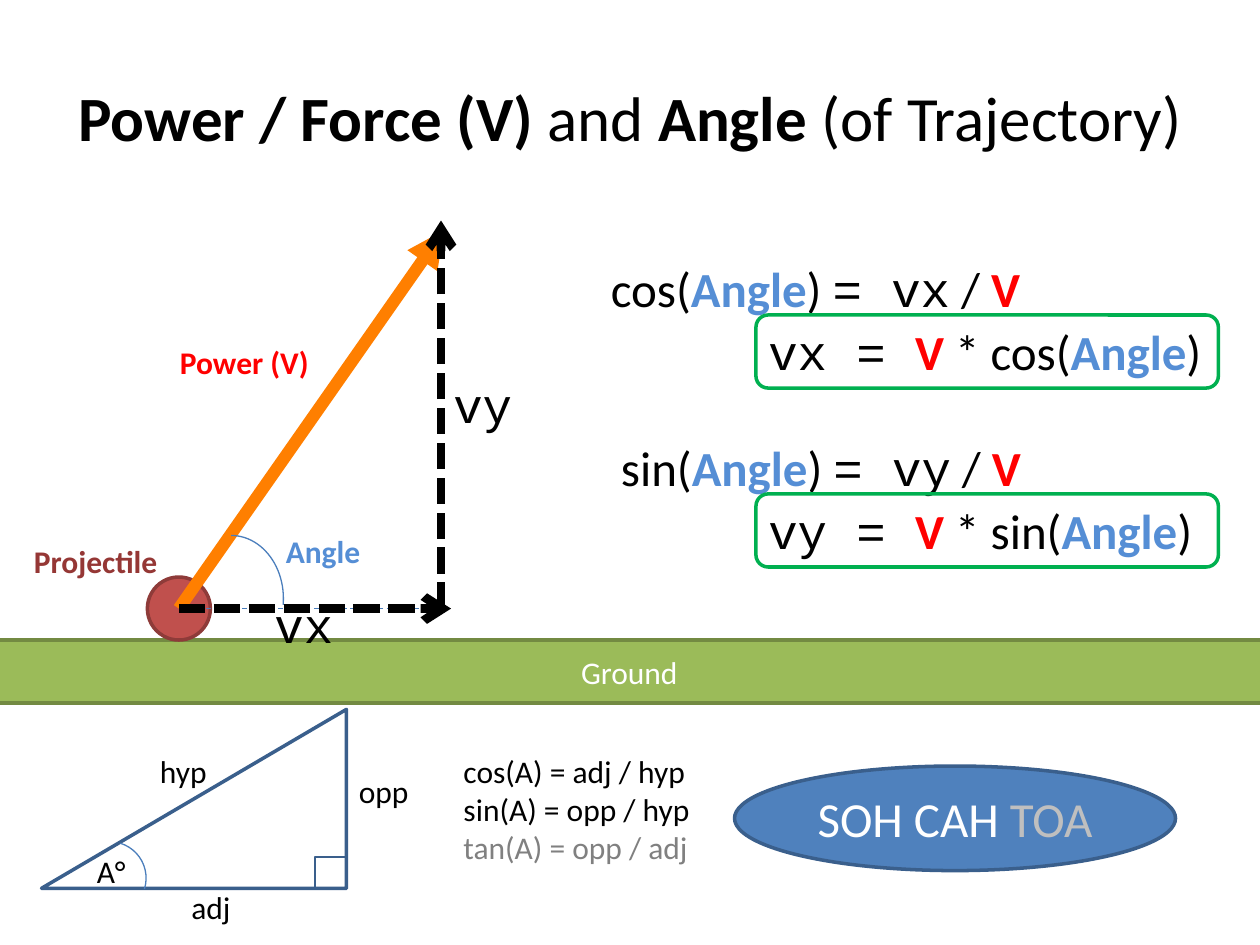
from lxml import etree
from pptx import Presentation
from pptx.dml.color import RGBColor
from pptx.enum.dml import MSO_LINE
from pptx.enum.shapes import MSO_CONNECTOR, MSO_SHAPE
from pptx.enum.text import MSO_ANCHOR, MSO_AUTO_SIZE, PP_ALIGN
from pptx.oxml.ns import qn
from pptx.util import Inches, Pt

ARC, OVAL, RECT = MSO_SHAPE.ARC, MSO_SHAPE.OVAL, MSO_SHAPE.RECTANGLE
ROUNDED, RIGHT_TRIANGLE = MSO_SHAPE.ROUNDED_RECTANGLE, MSO_SHAPE.RIGHT_TRIANGLE
STRAIGHT = MSO_CONNECTOR.STRAIGHT
DASH, SYS_DASH = MSO_LINE.DASH, MSO_LINE.SQUARE_DOT
LEFT, CENTER = PP_ALIGN.LEFT, PP_ALIGN.CENTER
TOP, MIDDLE = MSO_ANCHOR.TOP, MSO_ANCHOR.MIDDLE
FIT_TEXT = MSO_AUTO_SIZE.SHAPE_TO_FIT_TEXT

BLACK = RGBColor(0x00, 0x00, 0x00)
WHITE = RGBColor(0xFF, 0xFF, 0xFF)
GRAY = RGBColor(0x80, 0x80, 0x80)
SILVER = RGBColor(0xBF, 0xBF, 0xBF)
RED = RGBColor(0xFF, 0x00, 0x00)
ORANGE = RGBColor(0xFF, 0x7F, 0x00)
GREEN = RGBColor(0x00, 0xB0, 0x50)
BALL, BALL_EDGE = RGBColor(0xC0, 0x50, 0x4D), RGBColor(0x8E, 0x3B, 0x39)
MAROON = RGBColor(0x95, 0x37, 0x35)
GRASS, GRASS_EDGE = RGBColor(0x9B, 0xBB, 0x59), RGBColor(0x73, 0x8A, 0x42)
BLUE, BLUE_EDGE = RGBColor(0x4F, 0x81, 0xBD), RGBColor(0x3A, 0x5F, 0x8C)
THIN_BLUE = RGBColor(0x4B, 0x7E, 0xBC)
ANGLE_BLUE = RGBColor(0x55, 0x8E, 0xD5)

SANS, MONO = "Calibri", "Courier New"
ANGLE = ("Angle", {"color": ANGLE_BLUE, "bold": True})
POWER = ("V", {"color": RED, "bold": True})


def write(frame, lines, align=LEFT, anchor=TOP, wrap=True, **base):
    """Fill a text frame; a line is a string or a list of strings and (text, format) runs."""
    frame.word_wrap = wrap
    frame.vertical_anchor = anchor
    for index, line in enumerate(lines):
        paragraph = frame.paragraphs[0] if index == 0 else frame.add_paragraph()
        paragraph.alignment = align
        for part in [line] if isinstance(line, (str, tuple)) else line:
            words, extra = (part, {}) if isinstance(part, str) else part
            style = {"size": 18, "font": SANS, "color": BLACK, "bold": False, **base, **extra}
            run = paragraph.add_run()
            run.text = words
            run.font.size = Pt(style["size"])
            run.font.name = style["font"]
            run.font.bold = style["bold"]
            run.font.color.rgb = style["color"]


def add_text(shapes, left, top, width, height, lines, fit=True, **style):
    """Add a text box holding the given lines."""
    box = shapes.add_textbox(Inches(left), Inches(top), Inches(width), Inches(height))
    write(box.text_frame, lines, **style)
    if fit:
        box.text_frame.auto_size = FIT_TEXT


def add_figure(shapes, kind, left, top, width, height, edge, weight=2.0, fill=None):
    """Add a preset shape with an outline and an optional fill."""
    figure = shapes.add_shape(kind, Inches(left), Inches(top), Inches(width), Inches(height))
    figure.shadow.inherit = False
    if fill is None:
        figure.fill.background()
    else:
        figure.fill.solid()
        figure.fill.fore_color.rgb = fill
    figure.line.color.rgb = edge
    figure.line.width = Pt(weight)
    return figure


def add_line(shapes, start, end, color, weight, dash=None, arrow=None):
    """Draw a straight line, with an arrowhead at its end if one is named."""
    line = shapes.add_connector(STRAIGHT, *(Inches(v) for v in (*start, *end)))
    line.line.color.rgb = color
    line.line.width = Pt(weight)
    if dash is not None:
        line.line.dash_style = dash
    if arrow:
        etree.SubElement(line.line._get_or_add_ln(), qn("a:tailEnd")).set("type", arrow)
    etree.SubElement(line._element.spPr, qn("a:effectLst"))


def draw_title(shapes, left, top, width, height):
    """Write the slide's heading."""
    bold = {"bold": True}
    add_text(shapes, left, top, width, height,
             [[("Power / Force (V)", bold), " and ", ("Angle", bold), " (of Trajectory)"]],
             fit=False, size=36, align=CENTER, anchor=MIDDLE)


def draw_ground(shapes, left, top, width, height):
    """Draw the strip of ground."""
    ground = add_figure(shapes, RECT, left, top, width, height, GRASS_EDGE, fill=GRASS)
    write(ground.text_frame, ["Ground"], color=WHITE, align=CENTER, anchor=MIDDLE)


def draw_trajectory(shapes, left, top):
    """Draw the projectile and its velocity vector with both components."""
    origin = (left + 1.25, top + 3.08)
    x, y = origin
    add_figure(shapes, OVAL, x - 0.25, y - 0.25, 0.5, 0.5, BALL_EDGE, fill=BALL)
    add_line(shapes, origin, (x + 2.1, y - 3), ORANGE, 7, arrow="triangle")
    add_line(shapes, origin, (x + 2.08, y), THIN_BLUE, 0.75, dash=DASH)
    arc = add_figure(shapes, ARC, x, y - 0.58, 0.83, 1, THIN_BLUE, 0.75)
    arc.adjustments[0], arc.adjustments[1] = 162, 4.225

    for name, dx, dy, width, color in (("Projectile", 0, 2.5, 1.19, MAROON),
                                       ("Power (V)", 1.16, 0.92, 1.23, RED),
                                       ("Angle", 2, 2.42, 0.8, ANGLE_BLUE)):
        add_text(shapes, left + dx, top + dy, width, 0.4, [name],
                 wrap=False, color=color, bold=True)

    corner = (x + 2.08, y)
    add_line(shapes, origin, (x + 2.16, y), BLACK, 5, SYS_DASH, "arrow")
    add_line(shapes, corner, (x + 2.08, y - 3.08), BLACK, 5, SYS_DASH, "arrow")
    for name, dx, dy, width in (("vx", 0.66, -0.16, 1.18), ("vy", 2.08, -1.91, 0.75)):
        add_text(shapes, x + dx, y + dy, width, 0.57, [name], size=28, font=MONO)


def draw_formula(shapes, left, top, ratio, component, indent):
    """Write one ratio and, in a frame below it, the component solved from it."""
    mono = {"font": MONO}
    add_text(shapes, left + indent, top, 4.58, 0.57,
             [[f"{ratio}(", ANGLE, ") ", (f"= {component}", mono), " / ", POWER]], size=28)
    add_text(shapes, left + 1.25, top + 0.5, 3.75, 0.57,
             [[(f"{component} = ", mono), POWER, f" * {ratio}(", ANGLE, ")"]], size=28)
    add_figure(shapes, ROUNDED, left + 1.25, top + 0.5, 3.67, 0.58, GREEN)


def draw_triangle(shapes, left, top, width, height):
    """Draw the labelled right triangle as one group."""
    parts = shapes.add_group_shape().shapes
    triangle = add_figure(parts, RIGHT_TRIANGLE, left, top, width, height, BLUE_EDGE)
    triangle._element.spPr.find(qn("a:xfrm")).set("flipH", "1")
    arc = add_figure(parts, ARC, left + 0.25, top + 1.05, 0.58, 0.58, THIN_BLUE, 0.75)
    arc.rotation = 17.3
    corner = 0.25
    add_figure(parts, RECT, left + width - corner, top + height - corner,
               corner, corner, BLUE_EDGE, 1)
    for name, dx, dy, label_width in (("A°", 0.34, 1.08, 0.43), ("opp", width, 0.45, 0.6),
                                      ("adj", 1.09, 1.37, 0.52), ("hyp", 0.84, 0.29, 0.58)):
        add_text(parts, left + dx, top + dy, label_width, 0.4, [name], wrap=False)


def draw_ratios(shapes, left, top):
    """List the three ratios next to their mnemonic."""
    add_text(shapes, left, top, 2.02, 1.01,
             ["cos(A) = adj / hyp", "sin(A) = opp / hyp",
              ("tan(A) = opp / adj", {"color": GRAY})], wrap=False)
    mnemonic = add_figure(shapes, OVAL, left + 2.25, top + 0.16, 3.5, 0.83, BLUE_EDGE, fill=BLUE)
    write(mnemonic.text_frame, [["SOH CAH ", ("TOA", {"color": SILVER})]],
          size=28, color=WHITE, align=CENTER, anchor=MIDDLE)


def main():
    """Build the slide and save it."""
    deck = Presentation()
    deck.slide_width, deck.slide_height = Inches(10), Inches(7.5)
    shapes = deck.slides.add_slide(deck.slide_layouts[6]).shapes
    draw_title(shapes, 0.5, 0.3, 9, 1.25)
    draw_ground(shapes, -0.17, 5.08, 10.33, 0.5)
    draw_trajectory(shapes, 0.17, 1.75)
    draw_triangle(shapes, 0.33, 5.63, 2.42, 1.42)
    draw_ratios(shapes, 3.58, 5.92)
    for row, formula in enumerate((("cos", "vx", 0), ("sin", "vy", 0.08))):
        draw_formula(shapes, 4.75, 2 + 1.42 * row, *formula)
    deck.save("out.pptx")


main()
